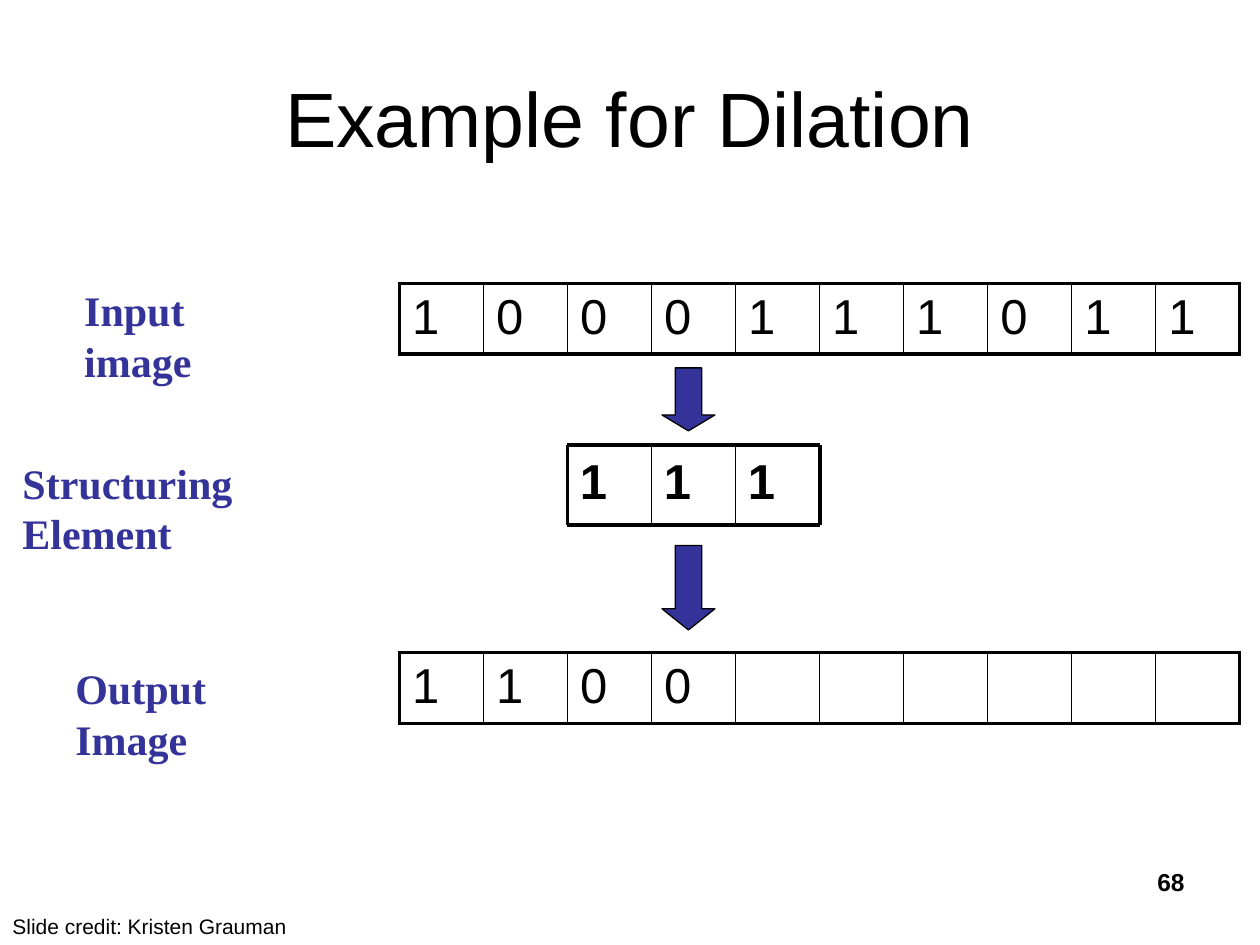
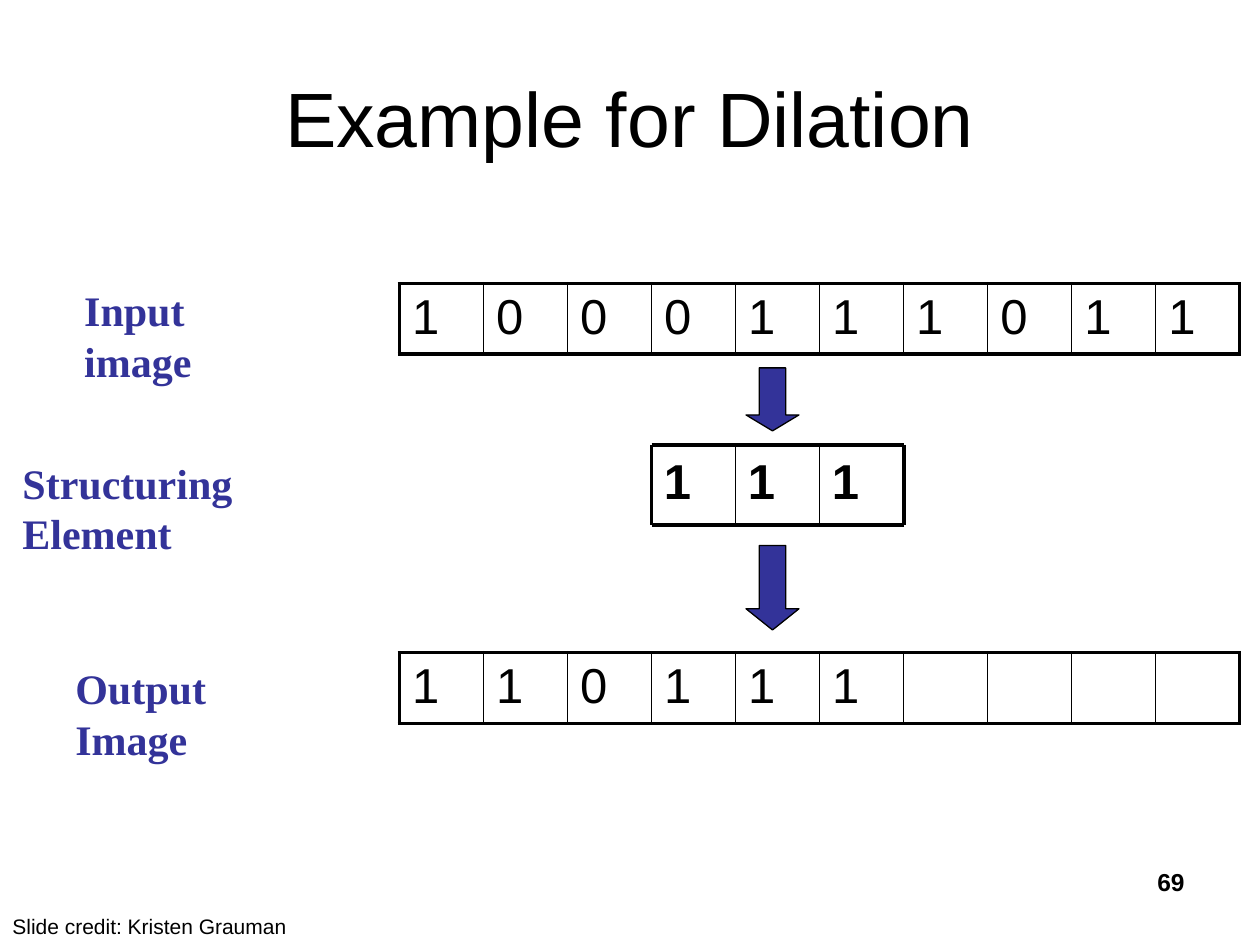
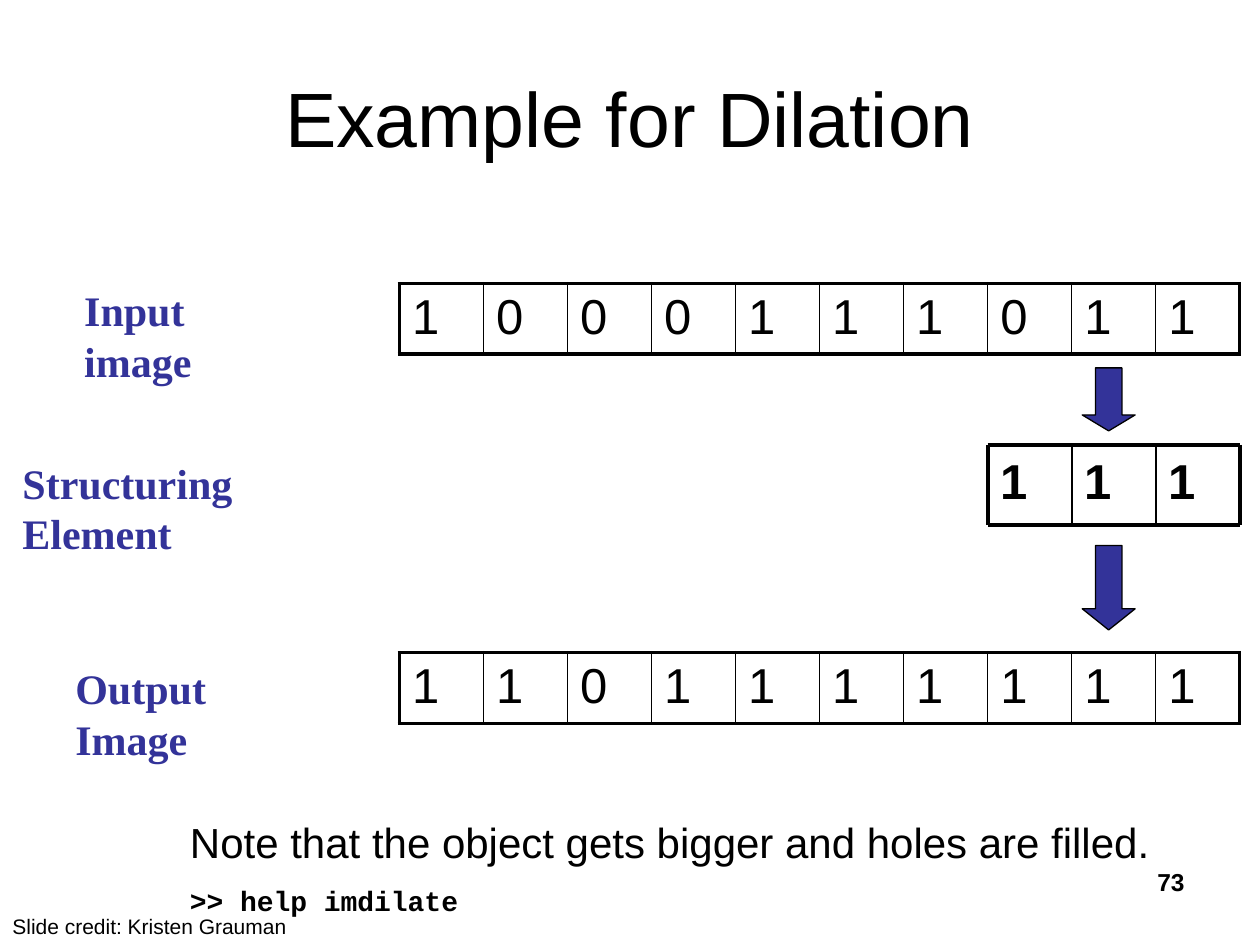
from dataclasses import dataclass

from lxml import etree
from pptx import Presentation
from pptx.dml.color import RGBColor
from pptx.enum.shapes import MSO_CONNECTOR, MSO_SHAPE
from pptx.enum.text import MSO_ANCHOR, PP_ALIGN
from pptx.oxml.ns import qn
from pptx.util import Inches, Pt

STRAIGHT = MSO_CONNECTOR.STRAIGHT
DOWN_ARROW = MSO_SHAPE.DOWN_ARROW
MIDDLE = MSO_ANCHOR.MIDDLE
LEFT, CENTER, RIGHT = PP_ALIGN.LEFT, PP_ALIGN.CENTER, PP_ALIGN.RIGHT


@dataclass(frozen=True)
class Theme:
    """Colours, fonts, type sizes and line widths of the deck."""
    ink: RGBColor = RGBColor(0x00, 0x00, 0x00)
    accent: RGBColor = RGBColor(0x33, 0x33, 0x99)
    sans: str = "Arial"
    serif: str = "Times New Roman"
    mono: str = "Courier New"
    title: int = 44
    digit: int = 28
    label: int = 24
    code: int = 16
    page: int = 14
    credit: int = 12
    outer: float = 2.25
    inner: float = 1
    outline: float = 0.75


THEME = Theme()
TITLE_ONLY = 5
INPUT_BITS = "1000111011"
ELEMENT_BITS = "111"
ROW_LEFT, ROW_WIDTH, ROW_HEIGHT = 3.17, 6.67, 0.56
CELL = ROW_WIDTH / len(INPUT_BITS)
INPUT_TOP, ELEMENT_TOP, OUTPUT_TOP = 2.25, 3.53, 5.18
ELEMENT_HEIGHT = 0.64
LABELS = (
    ("Input image", (0.57, 2.21, 1.8, 0.5)),
    ("Structuring Element", (0.08, 3.58, 2.89, 0.5)),
    ("Output Image", (0.5, 5.21, 2.04, 0.5)),
)
STEPS = (
    (68, 2, "1100", False),
    (69, 3, "110111", False),
    (73, 7, "1101111111", True),
)


def style(paragraph, size, font=THEME.sans, color=THEME.ink, bold=False, align=LEFT):
    """Set the font and alignment of a whole paragraph."""
    paragraph.alignment = align
    paragraph.font.size = Pt(size)
    paragraph.font.name = font
    paragraph.font.bold = bold
    paragraph.font.color.rgb = color


def add_text(slide, box, text, size, **look):
    """Place one wrapped paragraph in a box and return its text frame."""
    frame = slide.shapes.add_textbox(*map(Inches, box)).text_frame
    frame.word_wrap = True
    frame.text = text
    style(frame.paragraphs[0], size, **look)
    return frame


def add_title(slide, text):
    """Place and format the title placeholder."""
    title = slide.shapes.title
    title.left, title.top, title.width, title.height = map(Inches, (0.5, 0.3, 9, 1.25))
    title.text_frame.text = text
    title.text_frame.vertical_anchor = MIDDLE
    style(title.text_frame.paragraphs[0], THEME.title, align=CENTER)


def add_border(cell, edge, width):
    """Draw one edge of a table cell."""
    line = etree.SubElement(cell._tc.get_or_add_tcPr(), qn(f"a:ln{edge}"), w=str(Pt(width)))
    fill = etree.SubElement(line, qn("a:solidFill"))
    etree.SubElement(fill, qn("a:srgbClr"), val=str(THEME.ink))


def add_bit_row(slide, top, bits):
    """Draw a one-row table of pixels, blank where no bit is known yet."""
    count = len(INPUT_BITS)
    table = slide.shapes.add_table(
        1, count, *map(Inches, (ROW_LEFT, top, ROW_WIDTH, ROW_HEIGHT))).table
    table.first_row = table.horz_banding = False
    for column, bit in enumerate(bits.ljust(count)):
        table.columns[column].width = Inches(CELL)
        cell = table.cell(0, column)
        add_border(cell, "L", THEME.outer if column == 0 else THEME.inner)
        add_border(cell, "R", THEME.outer if column == count - 1 else THEME.inner)
        add_border(cell, "T", THEME.outer)
        add_border(cell, "B", THEME.outer)
        cell.fill.background()
        cell.text = bit.strip()
        style(cell.text_frame.paragraphs[0], THEME.digit)


def add_rule(slide, start, end, width):
    """Draw a straight line between two points."""
    rule = slide.shapes.add_connector(STRAIGHT, *map(Inches, (*start, *end)))
    rule.line.color.rgb = THEME.ink
    rule.line.width = Pt(width)
    etree.SubElement(rule._element.spPr, qn("a:effectLst"))


def add_arrow(slide, box, head):
    """Draw a downward block arrow with the given head proportion."""
    arrow = slide.shapes.add_shape(DOWN_ARROW, *map(Inches, box))
    arrow.adjustments[0] = 0.5
    arrow.adjustments[1] = head
    arrow.shadow.inherit = False
    arrow.fill.solid()
    arrow.fill.fore_color.rgb = THEME.accent
    arrow.line.color.rgb = THEME.ink
    arrow.line.width = Pt(THEME.outline)


def add_structuring_element(slide, left, top):
    """Draw the structuring element with an arrow above and one below."""
    count = len(ELEMENT_BITS)
    right, bottom = left + count * CELL, top + ELEMENT_HEIGHT
    for index, bit in enumerate(ELEMENT_BITS):
        add_text(slide, (left + index * CELL, top, CELL, ELEMENT_HEIGHT), bit,
                 THEME.digit, bold=True)
    for y in (top, bottom):
        add_rule(slide, (left, y), (right, y), THEME.outer)
    for index in range(count + 1):
        x = left + index * CELL
        add_rule(slide, (x, top), (x, bottom),
                 THEME.outer if index in (0, count) else THEME.inner)
    add_arrow(slide, (left + 0.75, bottom + 0.16, 0.42, 0.67), 0.4)
    add_arrow(slide, (left + 0.75, top - 0.61, 0.42, 0.5), 0.3)


def add_conclusion(slide, box):
    """Write the closing remark and the command to look up."""
    frame = add_text(slide, box, "Note that the object gets bigger and holes are filled.",
                     THEME.label)
    command = frame.add_paragraph()
    command.text = ">> help imdilate"
    style(command, THEME.code, font=THEME.mono, bold=True)
    for paragraph in frame.paragraphs:
        paragraph.line_spacing = 1.5


def add_footer(slide, page):
    """Write the credit line and the page number."""
    add_text(slide, (0, 7.2, 4.58, 0.3), "Slide credit: Kristen Grauman", THEME.credit)
    add_text(slide, (7.17, 6.83, 2.33, 0.52), str(page), THEME.page, bold=True, align=RIGHT)


def add_dilation_slide(deck, page, position, output_bits, concluded):
    """Build one step of the dilation, with the element at a pixel position."""
    slide = deck.slides.add_slide(deck.slide_layouts[TITLE_ONLY])
    add_title(slide, "Example for Dilation")
    add_bit_row(slide, INPUT_TOP, INPUT_BITS)
    add_bit_row(slide, OUTPUT_TOP, output_bits)
    for label, box in LABELS:
        add_text(slide, box, label, THEME.label, font=THEME.serif,
                 color=THEME.accent, bold=True)
    add_structuring_element(slide, ROW_LEFT + position * CELL, ELEMENT_TOP)
    if concluded:
        add_conclusion(slide, (1.41, 6.23, 7.9, 1.08))
    add_footer(slide, page)


def main():
    """Build and save the deck."""
    deck = Presentation()
    deck.slide_width, deck.slide_height = Inches(10), Inches(7.5)
    for step in STEPS:
        add_dilation_slide(deck, *step)
    deck.save("out.pptx")


if __name__ == "__main__":
    main()
